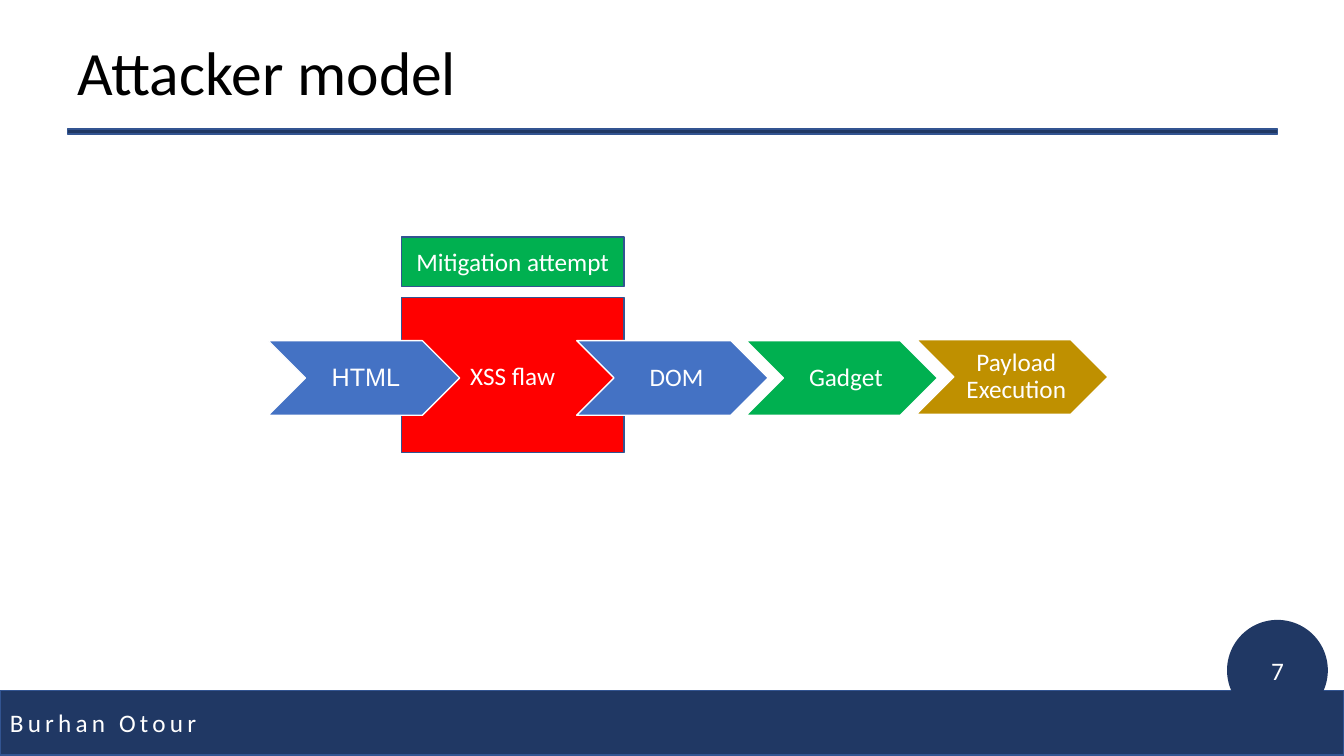
from dataclasses import dataclass

from pptx import Presentation
from pptx.dml.color import RGBColor
from pptx.enum.shapes import MSO_SHAPE as Shape
from pptx.enum.text import MSO_ANCHOR as Anchor, PP_ALIGN as Align
from pptx.util import Inches, Pt


@dataclass(frozen=True)
class Theme:
    navy: str = "203864"
    outline: str = "325491"
    blue: str = "4472C4"
    green: str = "00B050"
    red: str = "FF0000"
    gold: str = "BF9000"
    white: str = "FFFFFF"
    black: str = "000000"
    font: str = "Calibri"
    input_font: str = "Arial"
    title_size: int = 44
    body_size: int = 18


THEME = Theme()
SLIDE_WIDTH, SLIDE_HEIGHT = 13.33, 7.5
FLAW_LEFT, FLAW_WIDTH = 3.98, 2.21
STEP_WIDTH, STEP_HEIGHT = 1.9, 0.74

# Left, top, label, fill, font and left inset of each attack step
STEPS = [
    (2.66, 3.38, "HTML", THEME.blue, THEME.input_font, 0.08),
    (5.72, 3.38, "DOM", THEME.blue, THEME.font, 0.12),
    (7.4, 3.38, "Gadget", THEME.green, THEME.font, 0.12),
    (9.09, 3.37, "Payload Execution", THEME.gold, THEME.font, 0.12),
]


def write_text(shape, text, size=THEME.body_size, color=THEME.white,
               font=THEME.font, align=Align.CENTER, line_spacing=None):
    """Put one paragraph into a shape and return its run."""
    frame = shape.text_frame
    frame.word_wrap = True
    frame.vertical_anchor = Anchor.MIDDLE
    paragraph = frame.paragraphs[0]
    paragraph.alignment = align
    if line_spacing:
        paragraph.line_spacing = line_spacing
    run = paragraph.add_run()
    run.text = text
    run.font.name = font
    run.font.size = Pt(size)
    run.font.color.rgb = RGBColor.from_string(color)
    return run


def add_filled(slide, kind, left, top, width, height, fill, line=None):
    """Add a flat preset shape, with a 1 pt outline if a line colour is given."""
    shape = slide.shapes.add_shape(
        kind, Inches(left), Inches(top), Inches(width), Inches(height))
    shape.shadow.inherit = False
    shape.fill.solid()
    shape.fill.fore_color.rgb = RGBColor.from_string(fill)
    if line:
        shape.line.color.rgb = RGBColor.from_string(line)
        shape.line.width = Pt(1)
    else:
        shape.line.fill.background()
    return shape


def add_box(slide, left, top, width, height, fill):
    return add_filled(slide, Shape.RECTANGLE, left, top, width, height,
                      fill, THEME.outline)


def add_title(slide, text):
    title = slide.shapes.add_textbox(
        Inches(0.67), Inches(0.29), Inches(11.5), Inches(0.91))
    write_text(title, text, THEME.title_size, THEME.black,
               align=Align.LEFT, line_spacing=0.9)
    add_box(slide, 0.67, 1.28, 12, 0.05, THEME.navy)


def add_footer(slide, author, number):
    footer = add_box(slide, 0, 6.85, SLIDE_WIDTH, 0.64, THEME.navy)
    run = write_text(footer, author, align=Align.LEFT)
    run.font._element.set("spc", "300")  # letter spacing of 3 pt
    badge = add_filled(slide, Shape.OVAL, 12.17, 6.15, 1, 1, THEME.navy)
    write_text(badge, number)


def add_step(slide, left, top, label, fill, font, inset):
    step = add_filled(slide, Shape.CHEVRON, left, top, STEP_WIDTH, STEP_HEIGHT,
                      fill, THEME.white)
    frame = step.text_frame
    frame.margin_left = Inches(inset)
    frame.margin_right = frame.margin_top = frame.margin_bottom = Inches(0.04)
    write_text(step, label, font=font, line_spacing=0.9)


def main():
    presentation = Presentation()
    presentation.slide_width = Inches(SLIDE_WIDTH)
    presentation.slide_height = Inches(SLIDE_HEIGHT)
    slide = presentation.slides.add_slide(presentation.slide_layouts[6])

    # Frame of the slide
    add_footer(slide, "Burhan Otour", "7")
    add_title(slide, "Attacker model")

    # Flaw and its mitigation, behind the steps
    flaw = add_box(slide, FLAW_LEFT, 2.95, FLAW_WIDTH, 1.54, THEME.red)
    write_text(flaw, "XSS flaw")
    mitigation = add_box(slide, FLAW_LEFT, 2.35, FLAW_WIDTH, 0.49, THEME.green)
    write_text(mitigation, "Mitigation attempt")

    # Attack chain
    for step in STEPS:
        add_step(slide, *step)

    presentation.save("out.pptx")


if __name__ == "__main__":
    main()
